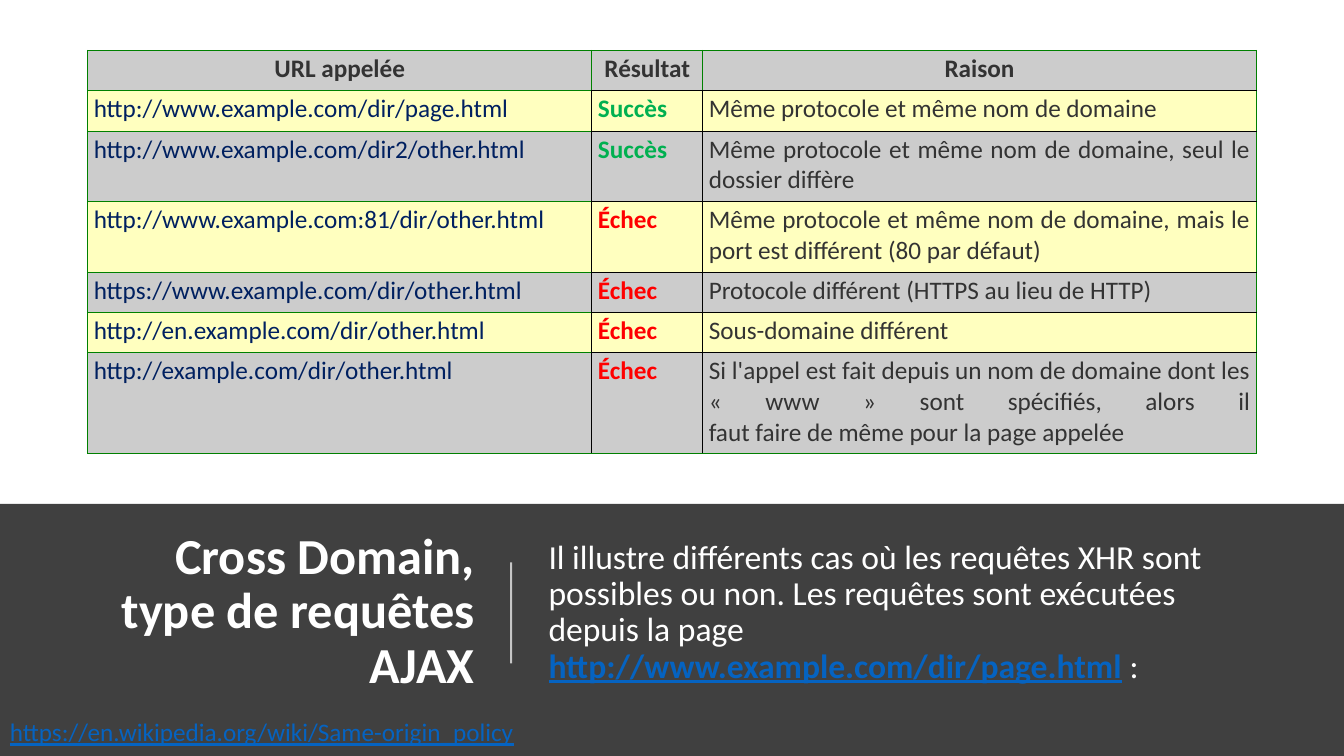
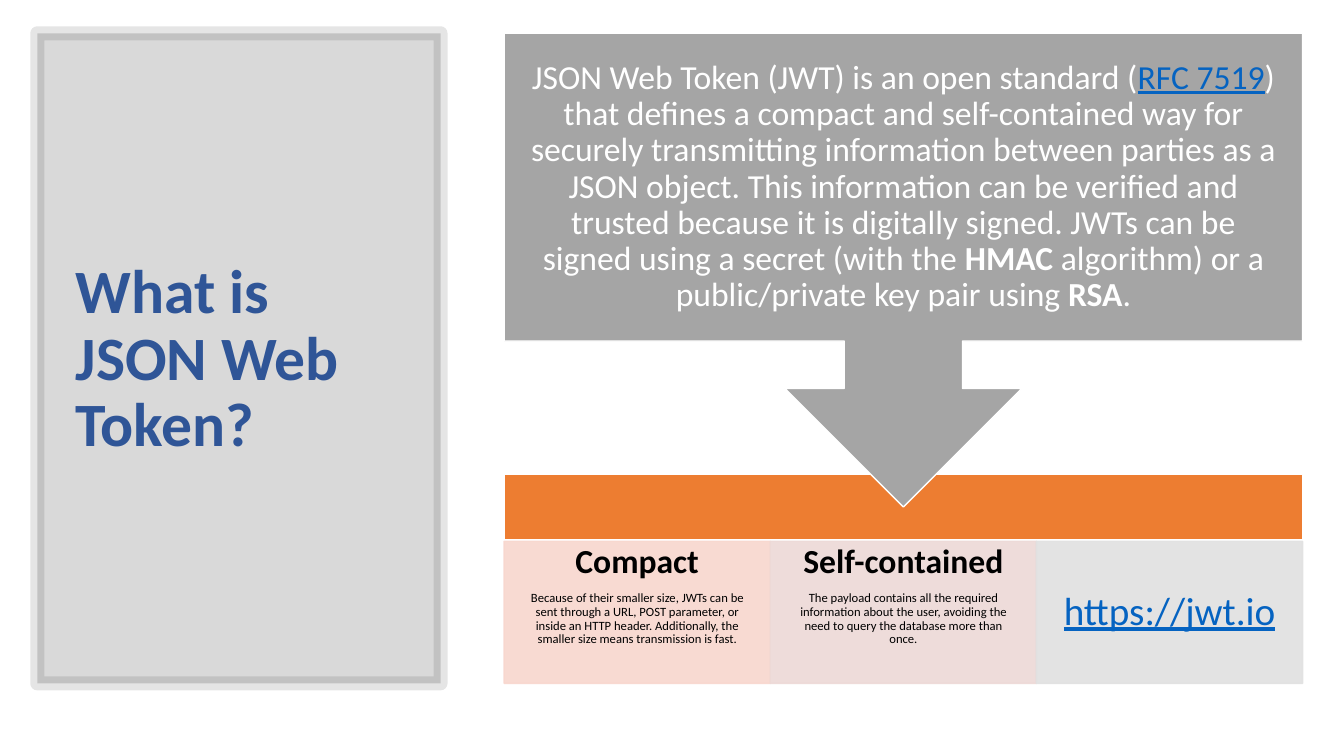
from lxml import etree
from pptx import Presentation, util as u
from pptx.dml.color import RGBColor
from pptx.enum import shapes, text
from pptx.oxml.ns import qn

FONT = "Calibri"
COLORS = {
    "white": "FFFFFF", "black": "000000", "band": "404040", "link": "0563C1",
    "blue": "2F5597", "orange": "ED7D31", "gray": "A5A5A5", "peach": "F8D7CE",
    "rose": "EDD9D7", "silver": "E1E1E1", "ink": "333333", "navy": "002060",
    "success": "00B050", "failure": "FF0000", "edge": "008000",
    "row_gray": "CCCCCC", "row_yellow": "FFFFBF",
}
LEFT, CENTER, RIGHT, JUSTIFY = (
    text.PP_ALIGN.LEFT, text.PP_ALIGN.CENTER, text.PP_ALIGN.RIGHT, text.PP_ALIGN.JUSTIFY)
TOP, MIDDLE = text.MSO_ANCHOR.TOP, text.MSO_ANCHOR.MIDDLE


def rgb(name):
    return RGBColor.from_string(COLORS[name])


def inches(values):
    return [u.Inches(value) for value in values]


def fade(shape, *percents):
    colors = list(shape.element.spPr.iter(qn("a:srgbClr")))
    for color, percent in zip(colors, percents):
        etree.SubElement(color, qn("a:alpha"), val=str(percent * 1000))


def write(para, words, size=24, color="white", bold=False, underline=False):
    for index, line in enumerate(words.split("\n")):
        if index:
            para.add_line_break()
        span = para.add_run()
        span.text = line
        span.font.name = FONT
        span.font.size = u.Pt(size)
        span.font.bold = bold
        span.font.underline = underline
        span.font.color.rgb = rgb(color)


class Slides:
    def __init__(self):
        self.deck = Presentation()
        self.deck.slide_width, self.deck.slide_height = inches((13.33, 7.5))
        self.page = None

    def new_page(self, layout):
        self.page = self.deck.slides.add_slide(self.deck.slide_layouts[layout])

    def fill_text(self, box, paras, align=LEFT, anchor=TOP, inset=(0.1, 0.05),
                  spacing=0.9, after=0, wrap=True):
        frame = box.text_frame
        frame.word_wrap = wrap
        frame.auto_size = text.MSO_AUTO_SIZE.NONE
        frame.vertical_anchor = anchor
        frame.margin_left = frame.margin_right = u.Inches(inset[0])
        frame.margin_top = frame.margin_bottom = u.Inches(inset[1])
        for index, spans in enumerate(paras):
            para = frame.add_paragraph() if index else frame.paragraphs[0]
            para.alignment = align
            para.line_spacing = spacing
            para.space_before = u.Pt(0)
            para.space_after = u.Pt(after)
            for words, style in spans:
                write(para, words, **style)

    def place(self, holder, at):
        holder.left, holder.top, holder.width, holder.height = inches(at)
        self.page.shapes.element.append(holder.element)

    def title(self, words, at, align=LEFT, **style):
        holder = self.page.shapes.title
        self.place(holder, at)
        self.fill_text(holder, [[(words, dict(style, bold=True))]], align, MIDDLE)

    def body(self, spans, at):
        holder = self.page.placeholders[1]
        self.place(holder, at)
        props = holder.text_frame.paragraphs[0]._p.get_or_add_pPr()
        props.set("marL", "0")
        props.set("indent", "0")
        etree.SubElement(props, qn("a:buNone"))
        self.fill_text(holder, [spans], anchor=MIDDLE)

    def shape(self, at, fill, line=None, width=1, kind=shapes.MSO_SHAPE.RECTANGLE):
        box = self.page.shapes.add_shape(kind, *inches(at))
        box.shadow.inherit = False
        box.fill.solid()
        box.fill.fore_color.rgb = rgb(fill)
        if line:
            box.line.color.rgb = rgb(line)
            box.line.width = u.Pt(width)
        else:
            box.line.fill.background()
        return box

    def label(self, words, at, **style):
        box = self.page.shapes.add_textbox(*inches(at))
        self.fill_text(box, [[(words, style)]], spacing=1.0, wrap=False)

    def divider(self, start, end, color, width, opacity):
        line = self.page.shapes.add_connector(
            shapes.MSO_CONNECTOR.STRAIGHT, *inches(start + end))
        line.line.color.rgb = rgb(color)
        line.line.width = u.Pt(width)
        fade(line, opacity)
        etree.SubElement(line.element.spPr, qn("a:effectLst"))

    def cell(self, cell, words, fill, edges, align, **style):
        cell.margin_left = cell.margin_right = u.Inches(0.06)
        cell.margin_top = cell.margin_bottom = u.Inches(0.03)
        props = cell._tc.get_or_add_tcPr()
        for side, color in edges.items():
            border = etree.SubElement(props, qn("a:ln" + side), w=str(u.Pt(0.75)))
            solid = etree.SubElement(border, qn("a:solidFill"))
            etree.SubElement(solid, qn("a:srgbClr"), val=COLORS[color])
        cell.fill.solid()
        cell.fill.fore_color.rgb = rgb(fill)
        para = cell.text_frame.paragraphs[0]
        para.alignment = align
        write(para, words, size=18, **style)

    def table(self, rows, at, widths, heights):
        table = self.page.shapes.add_table(len(rows), len(widths), *inches(at)).table
        table.first_row = table.horz_banding = False
        for column, width in zip(table.columns, widths):
            column.width = u.Inches(width)
        for row, height in zip(table.rows, heights):
            row.height = u.Inches(height)
        last_row, last_column = len(rows) - 1, len(widths) - 1
        for r, row in enumerate(rows):
            outcome = "success" if row[1] == "Succès" else "failure"
            for c, words in enumerate(row):
                green = {"L": c == 0 or r == 0, "R": c == last_column or r == 0,
                         "T": c == 0 or r == 0, "B": c == 0 or r == last_row}
                edges = {side: "edge" if on else "black" for side, on in green.items()}
                color = ("navy", outcome, "ink")[c] if r else "ink"
                self.cell(table.cell(r, c), words, ("row_gray", "row_yellow")[r % 2],
                          edges, JUSTIFY if r else CENTER,
                          color=color, bold=r == 0 or c == 1)


def same_origin_page(slides):
    slides.new_page(1)
    slides.shape((0, 5, 13.33, 2.5), "band")
    slides.title("Cross Domain, type de requêtes AJAX", (0.69, 5.35, 4.12, 1.45),
                 RIGHT, size=36)
    slides.divider((5.07, 6.58), (5.07, 5.58), "white", 1.5, 70)
    slides.body([
        ("Il illustre différents cas où les requêtes XHR sont possibles ou non. "
         "Les requêtes sont exécutées depuis la page ", {}),
        ("http://www.example.com/dir/page.html",
         dict(color="link", bold=True, underline=True)),
        (" :", {}),
    ], (5.34, 5.28, 7.3, 1.6))
    slides.table([
        ("URL appelée", "Résultat", "Raison"),
        ("http://www.example.com/dir/page.html", "Succès",
         "Même protocole et même nom de domaine"),
        ("http://www.example.com/dir2/other.html", "Succès",
         "Même protocole et même nom de domaine, seul le dossier diffère"),
        ("http://www.example.com:81/dir/other.html", "Échec",
         "Même protocole et même nom de domaine, mais le port est différent "
         "(80 par défaut)"),
        ("https://www.example.com/dir/other.html", "Échec",
         "Protocole différent (HTTPS au lieu de HTTP)"),
        ("http://en.example.com/dir/other.html", "Échec", "Sous-domaine différent"),
        ("http://example.com/dir/other.html", "Échec",
         "Si l'appel est fait depuis un nom de domaine dont les « www » sont "
         "spécifiés, alors il\nfaut faire de même pour la page appelée"),
    ], (0.87, 0.5, 11.59, 4), (5, 1.1, 5.49), (0.4, 0.4, 0.7, 0.7, 0.4, 0.4, 1))
    slides.label("https://en.wikipedia.org/wiki/Same-origin_policy",
                 (0, 7.06, 5.26, 0.4), size=18, color="link", underline=True)


def web_token_page(slides):
    slides.new_page(5)
    panel = slides.shape((0.37, 0.33, 4, 6.45), "black", "black", 10)
    fade(panel, 15, 10)
    slides.title("What is JSON Web Token?", (0.65, 0.7, 3.46, 5.75),
                 size=44, color="blue")

    left, width = 5, 7.92
    slides.shape((left, 4.71, width, 0.64), "orange", "white")
    heading = dict(color="black", bold=True)
    detail = dict(size=9, color="black")
    link = dict(color="link", underline=True)
    cards = [
        ("peach", TOP, [
            [("Compact", heading)],
            [("Because of their smaller size, JWTs can be sent through a URL, POST "
              "parameter, or inside an HTTP header. Additionally, the smaller size "
              "means transmission is fast.", detail)]]),
        ("rose", TOP, [
            [("Self-contained", heading)],
            [("The payload contains all the required information about the user, "
              "avoiding the need to query the database more than once.", detail)]]),
        ("silver", MIDDLE, [[("https://jwt.io", dict(link, size=28))]]),
    ]
    card_width = width / len(cards)
    for index, (color, anchor, paras) in enumerate(cards):
        card = slides.shape((left + index * card_width, 5.37, card_width, 1.41),
                            color, color)
        fade(card, 90, 90)
        slides.fill_text(card, paras, CENTER, anchor, (0.19, 0.03), after=8)

    callout = slides.shape((left, 0.33, width, 4.7), "gray", "white",
                           kind=shapes.MSO_SHAPE.DOWN_ARROW_CALLOUT)
    strong = dict(bold=True)
    slides.fill_text(callout, [[
        ("JSON Web Token (JWT) is an open standard (", {}),
        ("RFC 7519", link),
        (") that defines a compact and self-contained way for securely transmitting "
         "information between parties as a JSON object. This information can be "
         "verified and trusted because it is digitally signed. JWTs can be signed "
         "using a secret (with the ", {}),
        ("HMAC", strong),
        (" algorithm) or a public/private key pair using ", {}),
        ("RSA", strong),
        (".", {}),
    ]], CENTER, MIDDLE, (0.19, 0.19))


def main():
    slides = Slides()
    same_origin_page(slides)
    web_token_page(slides)
    slides.deck.save("out.pptx")


if __name__ == "__main__":
    main()
